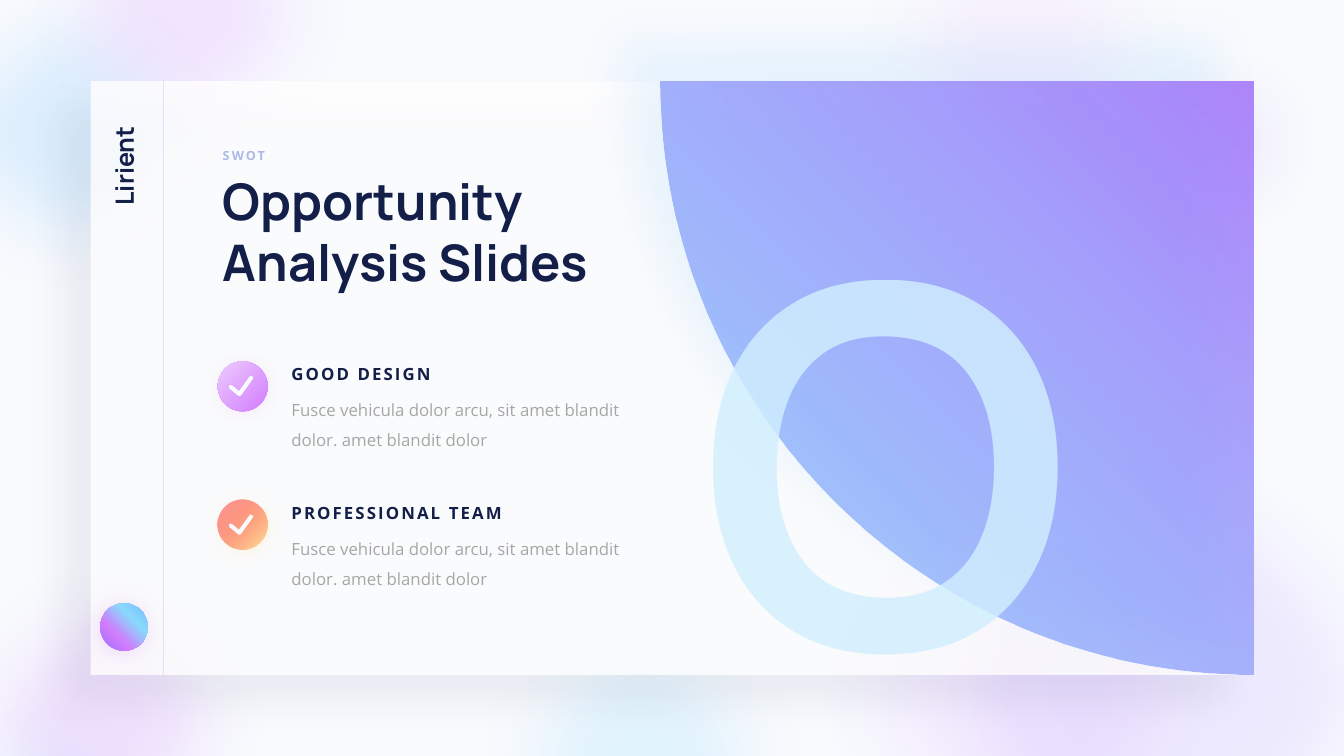
"""Build a SWOT opportunity slide with a framed panel and a large letter."""
from dataclasses import dataclass
from math import cos, radians, sin, tan

from lxml.etree import SubElement
from pptx import Presentation
from pptx.dml.color import RGBColor
from pptx.enum.shapes import MSO_CONNECTOR, MSO_SHAPE
from pptx.enum.text import MSO_ANCHOR, MSO_AUTO_SIZE, PP_ALIGN
from pptx.oxml.ns import qn
from pptx.util import Cm, Pt

COLORS = {
    "paper": "F8FAFE", "white": "FFFFFF", "navy": "131F49", "gray": "A6A6A6",
    "label": "ACBAE9", "rule": "DEE3F6", "blue": "72C0FD", "sky": "8BD8FD",
    "violet": "9E6EFB", "orchid": "D17DFC", "pink": "F1CDFC", "lilac": "EDCBFE",
    "ice": "D1EFFE", "azure": "1898FC", "yellow": "FFEA9F", "red": "FF0000",
    "amber": "FFC000",
}


@dataclass
class Stop:
    color: str
    alpha: int = 100
    pos: int = 0


@dataclass
class Shadow:
    color: str
    alpha: int
    blur: int
    dist: int
    angle: int


@dataclass
class Blob:
    x: float
    y: float
    size: float
    color: str
    alpha: int


@dataclass
class Style:
    size: int
    color: str
    font: str = "Manrope"
    bold: bool = True
    spacing: int = 0


@dataclass
class Item:
    y: float
    width: float
    heading: str
    stops: list
    glow: str


DESCRIPTION = "Fusce vehicula dolor arcu, sit amet blandit dolor. amet blandit dolor"
BLOBS = [
    Blob(-2.4, -1.13, 7.45, "blue", 20), Blob(0, -3.52, 7.45, "orchid", 17),
    Blob(21.69, 0.2, 5.23, "violet", 19), Blob(17.64, 8.26, 10.76, "violet", 12),
    Blob(15.61, 9.1, 9.16, "orchid", 10), Blob(8.99, 11.27, 7.45, "sky", 20),
    Blob(16.57, -2.78, 7.45, "pink", 20), Blob(-1.69, 10.57, 7.45, "orchid", 20),
    Blob(-1.69, 13.06, 5.23, "blue", 19),
]
ITEMS = [
    Item(7.17, 3.03, "GOOD DESIGN", [Stop("orchid"), Stop("lilac", pos=100)], "orchid"),
    Item(9.92, 4.46, "PROFESSIONAL TEAM", [Stop("yellow"), Stop("red", 36, 100)], "amber"),
]


def inch(value: float) -> Cm:
    """Return a length given in inches."""
    return Cm(value * 2.54)


def add_color(parent, color: str, alpha: int) -> None:
    """Add a colour with its opacity in percent."""
    clr = SubElement(parent, qn("a:srgbClr"), val=COLORS[color])
    if alpha < 100:
        SubElement(clr, qn("a:alpha"), val=str(alpha * 1000))


def paint(props, fill, stops: list, angle: int = 0) -> None:
    """Give shape or run properties a solid or gradient fill."""
    fill.background()
    old = props.find(qn("a:noFill"))
    tag = "a:gradFill" if len(stops) > 1 else "a:solidFill"
    new = SubElement(props, qn(tag))
    props.replace(old, new)
    if len(stops) == 1:
        add_color(new, stops[0].color, stops[0].alpha)
        return
    gs_list = SubElement(new, qn("a:gsLst"))
    for stop in stops:
        gs = SubElement(gs_list, qn("a:gs"), pos=str(stop.pos * 1000))
        add_color(gs, stop.color, stop.alpha)
    SubElement(new, qn("a:lin"), ang=str(angle * 60000), scaled="0")


def finish(sp, stops: list, angle: int = 0, shadow: Shadow = None, soft: int = 0) -> None:
    """Set fill, line and effects of a shape."""
    props = sp.element.spPr
    paint(props, sp.fill, stops, angle)
    sp.line.fill.background()
    sp.shadow.inherit = False
    effects = props.find(qn("a:effectLst"))
    if shadow:
        outer = SubElement(effects, qn("a:outerShdw"), blurRad=str(Pt(shadow.blur)),
                           dist=str(Pt(shadow.dist)), dir=str(shadow.angle * 60000),
                           algn="ctr", rotWithShape="0")
        add_color(outer, shadow.color, shadow.alpha)
    if soft:
        SubElement(effects, qn("a:softEdge"), rad=str(Pt(soft)))


def add_circle(s, x: float, y: float, size: float):
    """Add a circle by its top left corner."""
    return s.shapes.add_shape(MSO_SHAPE.OVAL, inch(x), inch(y), inch(size), inch(size))


def add_outline(s, start: tuple, segments: list):
    """Build a closed outline of lines (one point) and curves (three points)."""
    pts = [(inch(x), inch(y)) for segment in segments for x, y in segment]
    builder = s.shapes.build_freeform(*map(inch, start), scale=1.0)
    builder.add_line_segments(pts, close=True)
    sp = builder.convert_to_shape()
    lines = iter(list(sp.element.iter(qn("a:lnTo"))))
    for segment in segments:
        first, *others = [next(lines) for _ in segment]
        if others:
            first.tag = qn("a:cubicBezTo")
            for line in others:
                first.append(line[0])
                line.getparent().remove(line)
    return sp


def arc(x: float, y: float, radius: float, start: int, end: int) -> list:
    """Return a line to an arc's start and a curve to its end, clockwise degrees."""
    a, b = radians(start), radians(end)
    k = 4 / 3 * tan((b - a) / 4)
    units = [(cos(a), sin(a)), (cos(a) - k * sin(a), sin(a) + k * cos(a)),
             (cos(b) + k * sin(b), sin(b) - k * cos(b)), (cos(b), sin(b))]
    first, *curve = [(x + radius * u, y + radius * v) for u, v in units]
    return [[first], curve]


def add_check(s, x: float, y: float) -> None:
    """Draw a round-ended check mark inside the circle at x, y."""
    segments = (arc(x + 0.26, y + 0.51, 0.04, 307, 127)
                + arc(x + 0.43, y + 0.65, 0.04, 127, 35)
                + arc(x + 0.66, y + 0.33, 0.04, 35, -145))
    finish(add_outline(s, (x + 0.42, y + 0.59), segments), [Stop("paper")])


def write(sp, box: tuple, text: str, style: Style, wrap: bool = True,
          align=PP_ALIGN.LEFT, line_spacing: float = None):
    """Place a text shape, format its single paragraph and return the run."""
    sp.left, sp.top, sp.width, sp.height = map(inch, box)
    tf = sp.text_frame
    tf.text = text
    tf.word_wrap = wrap
    tf.auto_size = MSO_AUTO_SIZE.SHAPE_TO_FIT_TEXT
    tf.vertical_anchor = MSO_ANCHOR.TOP
    p = tf.paragraphs[0]
    p.alignment, p.line_spacing, p.space_before = align, line_spacing, Pt(0)
    r = p.runs[0]
    font = r.font
    font.name, font.size, font.bold = style.font, Pt(style.size), style.bold
    font.color.rgb = RGBColor.from_string(COLORS[style.color])
    if style.spacing:
        font._element.set("spc", str(style.spacing * 100))
    return r


def add_text(s, box: tuple, *args, **kwargs):
    """Add a text box and return it with its run."""
    sp = s.shapes.add_textbox(0, 0, 0, 0)
    return sp, write(sp, box, *args, **kwargs)


def fill_placeholder(s, idx: int, *args, **kwargs) -> None:
    """Write a placeholder without bullet and bring it to the front."""
    sp = s.placeholders[idx]
    s.shapes.element.append(sp.element)
    write(sp, *args, **kwargs)
    p_pr = sp.text_frame.paragraphs[0]._p.get_or_add_pPr()
    p_pr.set("marL", "0")
    p_pr.set("indent", "0")
    SubElement(p_pr, qn("a:buNone"))


def main() -> None:
    """Draw the slide from back to front and save it."""
    prs = Presentation()
    prs.slide_width, prs.slide_height = inch(26.66), inch(15)
    s = prs.slides.add_slide(prs.slide_layouts.get_by_name("Comparison"))
    s.background.fill.solid()
    s.background.fill.fore_color.rgb = RGBColor.from_string(COLORS["paper"])

    for blob in BLOBS:
        finish(add_circle(s, blob.x, blob.y, blob.size), [Stop(blob.color, blob.alpha)], soft=100)
    panel = s.shapes.add_shape(MSO_SHAPE.RECTANGLE, *map(inch, (1.8, 1.61, 23.07, 11.78)))
    finish(panel, [Stop("white", 80)], shadow=Shadow("navy", 8, 51, 55, 135))
    quarter = add_outline(s, (24.86, 1.62), arc(24.86, 1.62, 11.76, 90, 180))
    finish(quarter, [Stop("violet", 83), Stop("blue", 64, 100)], 135,
           Shadow("azure", 10, 64, 75, 225))

    _, r = add_text(s, (13.76, 2.88, 6.4, 12.12), "O", Style(714, "ice"), align=PP_ALIGN.CENTER)
    paint(r.font._element, r.font.fill, [Stop("ice", 81), Stop("paper", pos=100)], 225)

    rule = s.shapes.add_connector(MSO_CONNECTOR.STRAIGHT, *map(inch, (3.23, 1.6, 3.23, 13.4)))
    rule.line.color.rgb = RGBColor.from_string(COLORS["rule"])
    rule.line.width = Pt(0.5)
    SubElement(rule.element.spPr, qn("a:effectLst"))
    finish(add_circle(s, 1.99, 11.97, 0.94),
           [Stop("violet"), Stop("orchid", pos=34), Stop("sky", pos=67), Stop("blue", pos=100)],
           315, Shadow("orchid", 26, 31, 3, 135))
    name, _ = add_text(s, (1.42, 2.78, 2.08, 0.71), "Lirient", Style(36, "navy"), wrap=False)
    name.rotation = 270

    fill_placeholder(s, 0, (4.32, 3.33, 7.9, 2.52), "Opportunity Analysis Slides",
                     Style(72, "navy"))
    add_text(s, (4.32, 2.88, 1.1, 0.4), "SWOT", Style(18, "label", "Open Sans", spacing=3),
             wrap=False)
    for i, item in enumerate(ITEMS):
        fill_placeholder(s, 2 * i + 2, (5.68, item.y + 0.51, 7.39, 1.25), DESCRIPTION,
                         Style(24, "gray", "Open Sans", bold=False), line_spacing=1.5)
        fill_placeholder(s, 2 * i + 1, (5.68, item.y, item.width, 0.5), item.heading,
                         Style(24, "navy", "Open Sans", spacing=3), wrap=False)
        finish(add_circle(s, 4.32, item.y, 0.99), item.stops, 225,
               Shadow(item.glow, 12, 24, 3, 45))
        add_check(s, 4.32, item.y)
    prs.save("out.pptx")


if __name__ == "__main__":
    main()
